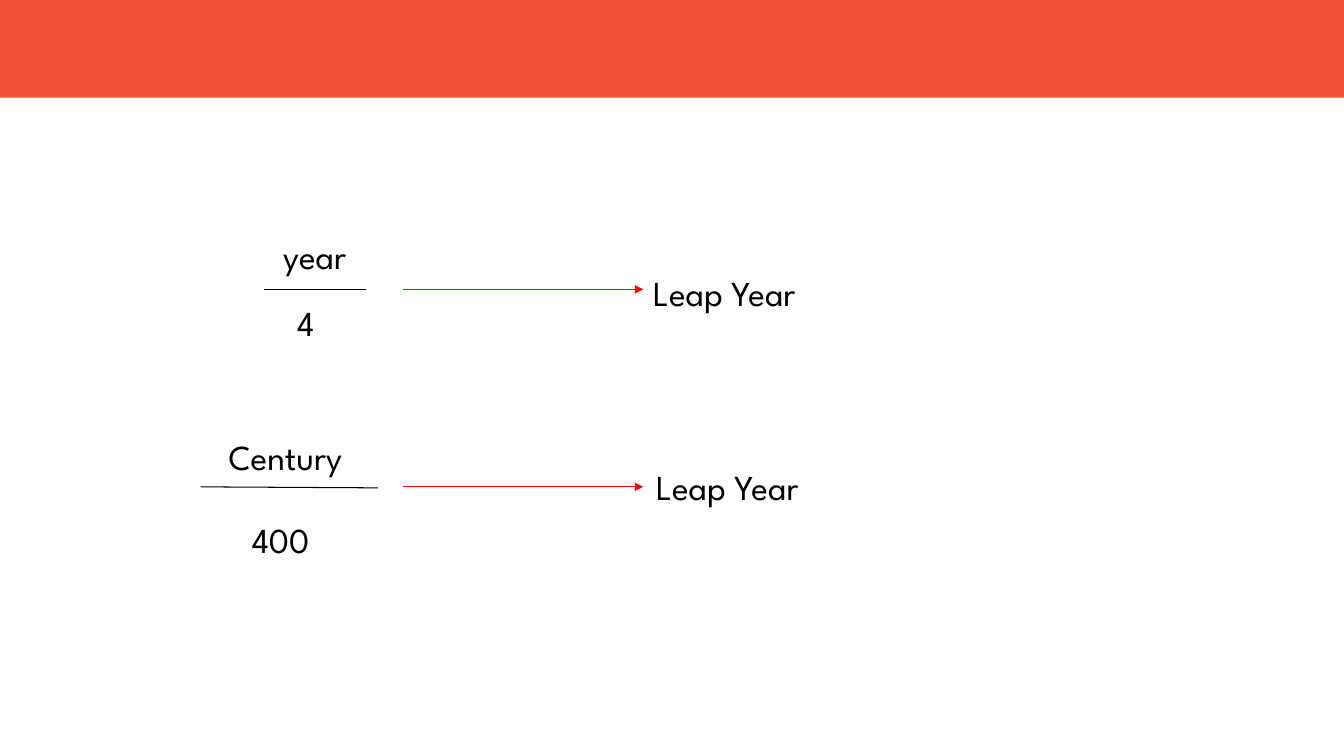
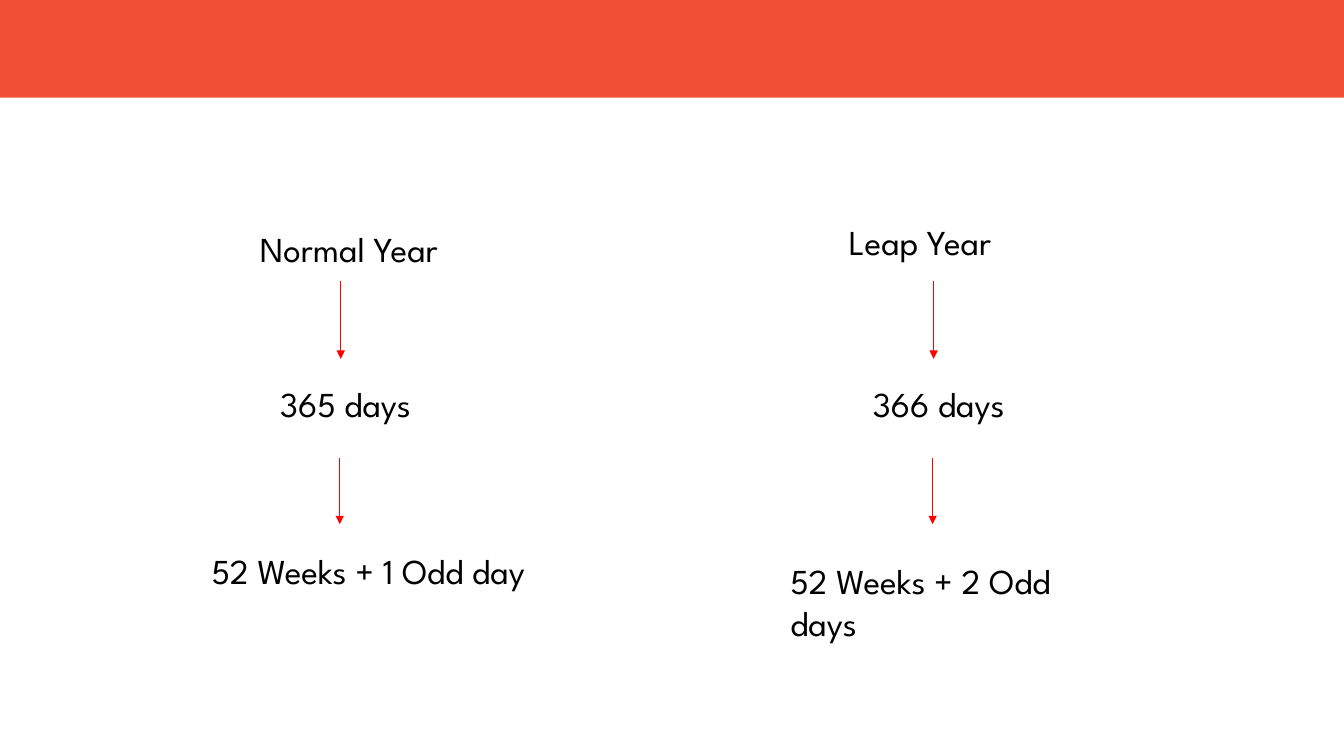
from pptx import Presentation
from pptx.dml.color import RGBColor
from pptx.enum.shapes import MSO_CONNECTOR, MSO_SHAPE
from pptx.oxml.ns import qn
from pptx.util import Inches, Pt
from lxml.etree import SubElement

COLORS = {"band": "F05136", "text": "000000", "rule": "000000", "arrow": "FF0000"}
FONT, TEXT_SIZE, LINE_WIDTH = "League Spartan", 25, 0.75
SLIDE_W, SLIDE_H, BAND_H = 13.33, 7.5, 0.97

# Leap-year tests: each label is (text, left, top, width);
# the fraction bar is (start x, start y, end x, end y)
TESTS = [
    {"labels": [("year", 2.71, 2.28, 1.2), ("4", 2.85, 2.94, 0.67),
                ("Leap Year", 6.38, 2.64, 3.73)],
     "bar": (2.62, 2.87, 3.63, 2.87)},
    {"labels": [("Century", 2.17, 4.27, 2.39), ("400", 2.4, 5.09, 1.13),
                ("Leap Year", 6.41, 4.57, 3.73)],
     "bar": (1.99, 4.83, 3.75, 4.84)},
]
ARROW_X = (4, 6.38)

# Kinds of year: one column each, with the same label format
YEARS = [
    [("Normal Year", 2.48, 2.21, 3), ("365 days", 2.68, 3.75, 2.15),
     ("52 Weeks + 1 Odd day", 2, 5.4, 3.33)],
    [("Leap Year", 8.32, 2.14, 3), ("366 days", 8.56, 3.75, 2.15),
     ("52 Weeks + 2 Odd days", 7.74, 5.5, 3.47)],
]
COLUMN_X, COLUMN_STEP = 3.38, 5.88
# Down arrows: (shift from the column axis, top, bottom)
DOWN_ARROWS = [(0, 2.79, 3.56), (-0.01, 4.54, 5.2)]


def rgb(name):
    return RGBColor.from_string(COLORS[name])


def add_label(slide, text, left, top, width):
    box = slide.shapes.add_textbox(Inches(left), Inches(top), Inches(width), Inches(0.52))
    tf = box.text_frame
    tf.word_wrap = True
    r = tf.paragraphs[0].add_run()
    r.text = text
    r.font.name, r.font.size = FONT, Pt(TEXT_SIZE)
    r.font.color.rgb = rgb("text")


def add_line(slide, x1, y1, x2, y2, color, arrow=False):
    line = slide.shapes.add_connector(
        MSO_CONNECTOR.STRAIGHT, Inches(x1), Inches(y1), Inches(x2), Inches(y2))
    line.line.color.rgb = rgb(color)
    line.line.width = Pt(LINE_WIDTH)
    sp_pr = line._element.spPr
    if arrow:
        SubElement(sp_pr.find(qn("a:ln")), qn("a:tailEnd"), type="triangle")
    SubElement(sp_pr, qn("a:effectLst"))


def add_slide(prs):
    """Blank slide with the shared top band."""
    slide = prs.slides.add_slide(prs.slide_layouts[6])
    band = slide.shapes.add_shape(
        MSO_SHAPE.RECTANGLE, 0, 0, Inches(SLIDE_W), Inches(BAND_H))
    band.shadow.inherit = False
    band.fill.solid()
    band.fill.fore_color.rgb = rgb("band")
    band.line.fill.background()
    return slide


def build_tests(prs):
    slide = add_slide(prs)
    for test in TESTS:
        for label in test["labels"]:
            add_label(slide, *label)
        add_line(slide, *test["bar"], "rule")
        y = test["bar"][1]
        add_line(slide, ARROW_X[0], y, ARROW_X[1], y, "arrow", arrow=True)


def build_years(prs):
    slide = add_slide(prs)
    for i, labels in enumerate(YEARS):
        for label in labels:
            add_label(slide, *label)
        for shift, top, bottom in DOWN_ARROWS:
            x = COLUMN_X + i * COLUMN_STEP + shift
            add_line(slide, x, top, x, bottom, "arrow", arrow=True)


def main():
    prs = Presentation()
    prs.slide_width, prs.slide_height = Inches(SLIDE_W), Inches(SLIDE_H)
    build_tests(prs)
    build_years(prs)
    prs.save("out.pptx")


if __name__ == "__main__":
    main()
